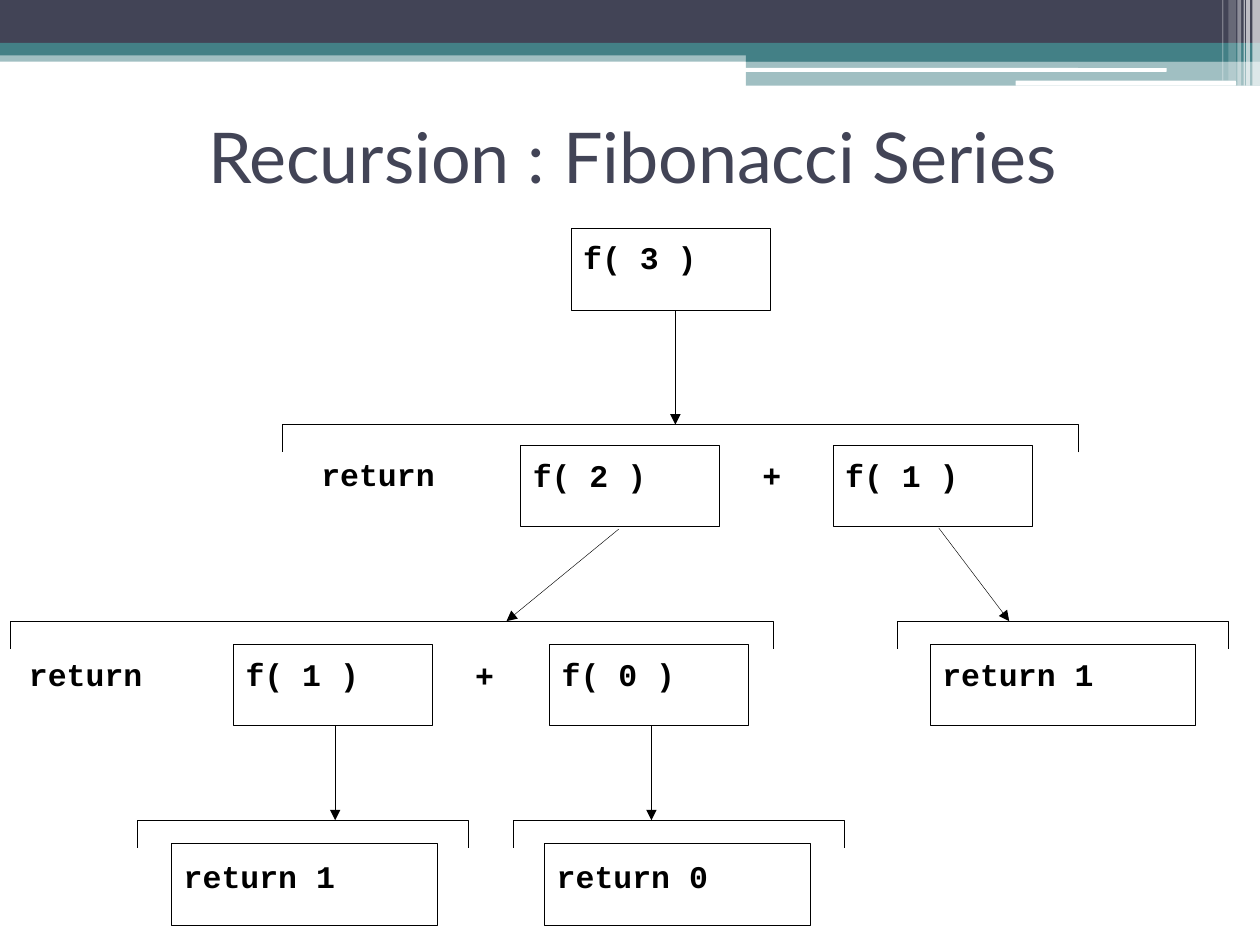
from lxml import etree
from pptx import Presentation
from pptx.dml.color import RGBColor
from pptx.enum.shapes import MSO_CONNECTOR, MSO_SHAPE
from pptx.enum.text import MSO_ANCHOR, MSO_AUTO_SIZE, PP_ALIGN
from pptx.oxml.ns import qn
from pptx.util import Inches, Pt

RECTANGLE, ROUNDED = MSO_SHAPE.RECTANGLE, MSO_SHAPE.ROUNDED_RECTANGLE
STRAIGHT = MSO_CONNECTOR.STRAIGHT
TOP, MIDDLE = MSO_ANCHOR.TOP, MSO_ANCHOR.MIDDLE
LEFT, CENTER = PP_ALIGN.LEFT, PP_ALIGN.CENTER
NO_AUTOFIT = MSO_AUTO_SIZE.NONE

COLORS = {"navy": "424456", "teal": "438086", "white": "FFFFFF", "black": "000000"}
CODE_FONT, TITLE_FONT = "Courier New", "Lato"
LINE_WIDTH = Pt(0.25)
BOX_HEIGHT, BRACKET_HEIGHT = 0.65, 0.22
CALL_WIDTH, RESULT_WIDTH = 1.58, 2.11
TEXT_INSET = 0.1


def color(name):
    return RGBColor.from_string(COLORS[name])


def write(frame, text, font=CODE_FONT, size=18, bold=True, text_color="black",
          align=LEFT, anchor=TOP, insets=(0, 0, 0, 0)):
    frame.word_wrap = True
    frame.auto_size = NO_AUTOFIT
    frame.vertical_anchor = anchor
    (frame.margin_left, frame.margin_top,
     frame.margin_right, frame.margin_bottom) = (Inches(inset) for inset in insets)
    frame.text = text
    paragraph = frame.paragraphs[0]
    paragraph.alignment = align
    paragraph.font.name = font
    paragraph.font.size = Pt(size)
    paragraph.font.bold = bold
    paragraph.font.color.rgb = color(text_color)


class TreeSlide:
    def __init__(self, presentation):
        self.slide = presentation.slides.add_slide(presentation.slide_layouts[5])
        self.shapes = self.slide.shapes

    def outline(self, shape):
        shape.line.color.rgb = color("black")
        shape.line.width = LINE_WIDTH

    def title(self, text, left, top, width, height):
        title = self.shapes.title
        title.left, title.top = Inches(left), Inches(top)
        title.width, title.height = Inches(width), Inches(height)
        write(title.text_frame, text, font=TITLE_FONT, size=40, bold=False,
              text_color="navy", align=CENTER, anchor=MIDDLE,
              insets=(0.1, 0.05, 0.1, 0.05))

    def band(self, left, top, width, height, fill, opacity=100, kind=RECTANGLE):
        shape = self.shapes.add_shape(kind, Inches(left), Inches(top),
                                      Inches(width), Inches(height))
        shape.shadow.inherit = False
        shape.line.fill.background()
        shape.fill.solid()
        shape.fill.fore_color.rgb = color(fill)
        if opacity < 100:
            fill_color = shape.fill._xPr.find(".//" + qn("a:srgbClr"))
            alpha = etree.SubElement(fill_color, qn("a:alpha"))
            alpha.set("val", str(opacity * 1000))

    def box(self, text, left, top, width, text_top):
        shape = self.shapes.add_shape(RECTANGLE, Inches(left), Inches(top),
                                      Inches(width), Inches(BOX_HEIGHT))
        shape.shadow.inherit = False
        shape.fill.background()
        self.outline(shape)
        write(shape.text_frame, text, insets=(TEXT_INSET, text_top, 0, 0))

    def bracket(self, left, top, width):
        right, bottom = left + width, top + BRACKET_HEIGHT
        builder = self.shapes.build_freeform(Inches(right), Inches(bottom))
        builder.add_line_segments(
            [(Inches(x), Inches(y))
             for x, y in ((right, top), (left, top), (left, bottom))], close=False)
        shape = builder.convert_to_shape()
        shape.shadow.inherit = False
        shape.fill.background()
        self.outline(shape)

    def arrow(self, start_x, start_y, end_x, end_y):
        connector = self.shapes.add_connector(
            STRAIGHT, Inches(start_x), Inches(start_y), Inches(end_x), Inches(end_y))
        self.outline(connector)
        tail = etree.SubElement(connector.line._get_or_add_ln(), qn("a:tailEnd"))
        tail.set("type", "triangle")
        etree.SubElement(connector._element.spPr, qn("a:effectLst"))

    def label(self, text, left, top, width):
        shape = self.shapes.add_textbox(Inches(left), Inches(top),
                                        Inches(width), Inches(0.5))
        write(shape.text_frame, text)


def main():
    presentation = Presentation()
    presentation.slide_width, presentation.slide_height = Inches(10), Inches(7.5)
    tree = TreeSlide(presentation)

    # Header bands
    tree.band(0, 0.4, 10, 0.09, "teal", 50)
    tree.band(0, 0, 10, 0.34, "navy")
    tree.band(0, 0.34, 10, 0.1, "teal")
    tree.band(5.92, 0.39, 4.08, 0.1, "teal")
    tree.band(5.92, 0.48, 4.08, 0.2, "teal", 50)
    tree.band(5.91, 0.54, 3.35, 0.03, "white", kind=ROUNDED)
    tree.band(8.06, 0.64, 1.75, 0.04, "white", kind=ROUNDED)

    # Pale stripes at the right edge
    for left, width, height, opacity in (
            (9.94, 0.06, 0.68, 65), (9.89, 0.03, 0.68, 65), (9.87, 0.01, 0.68, 60),
            (9.82, 0.03, 0.68, 40), (9.75, 0.06, 0.64, 20), (9.7, 0.01, 0.64, 30)):
        tree.band(left, 0, width, height, "white", opacity)

    tree.title("Recursion : Fibonacci Series", 0.52, 0.65, 9, 1.17)

    # Brackets over each expanded call
    for left, top, width in ((2.24, 3.37, 6.32), (0.08, 4.93, 6.06),
                             (7.12, 4.93, 2.63), (1.09, 6.51, 2.63),
                             (4.07, 6.51, 2.63)):
        tree.bracket(left, top, width)

    # Boxes, one row per recursion level: top, text inset, width and contents
    for top, text_top, width, boxes in (
            (1.81, 0.08, CALL_WIDTH, (("f( 3 )", 4.53),)),
            (3.53, 0.09, CALL_WIDTH, (("f( 2 )", 4.13), ("f( 1 )", 6.61))),
            (5.11, 0.09, CALL_WIDTH, (("f( 1 )", 1.85), ("f( 0 )", 4.36))),
            (5.11, 0.09, RESULT_WIDTH, (("return 1", 7.38),)),
            (6.69, 0.11, RESULT_WIDTH, (("return 1", 1.36), ("return 0", 4.32)))):
        for text, left in boxes:
            tree.box(text, left, top, width, text_top)

    # Arrows from each call to its expansion
    for points in ((5.36, 2.47, 5.36, 3.37), (4.91, 4.2, 4.02, 4.93),
                   (7.45, 4.19, 8.01, 4.93), (2.66, 5.76, 2.66, 6.51),
                   (5.17, 5.76, 5.17, 6.51)):
        tree.arrow(*points)

    # Words and operators between the boxes
    for text, left, top, width in (("return", 2.55, 3.61, 1.67), ("+", 6.05, 3.62, 0.35),
                                   ("return", 0.23, 5.2, 1.67), ("+", 3.77, 5.21, 0.35)):
        tree.label(text, left, top, width)

    presentation.save("out.pptx")


if __name__ == "__main__":
    main()
